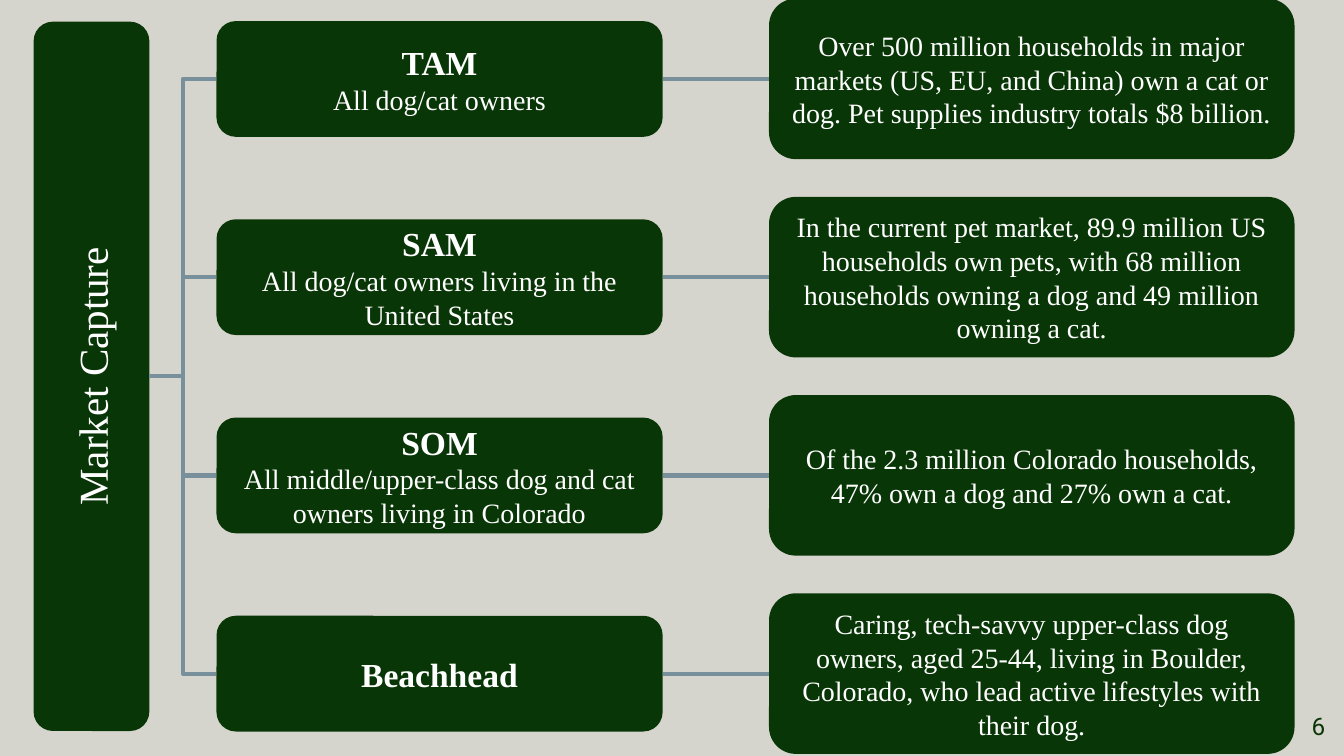
from lxml.etree import SubElement
from pptx import Presentation
from pptx.dml.color import RGBColor
from pptx.enum.shapes import MSO_CONNECTOR as Connector, MSO_SHAPE as Shape
from pptx.enum.text import MSO_ANCHOR as Anchor, PP_ALIGN as Align
from pptx.oxml.ns import qn
from pptx.util import Pt

ROOT = "Market Capture"
PAGE_NUMBER = "6"
# tier name, who it covers, market detail
TIERS = [
    ("TAM", "All dog/cat owners",
     "Over 500 million households in major markets (US, EU, and China) own a "
     "cat or dog. Pet supplies industry totals $8 billion."),
    ("SAM", "All dog/cat owners living in the United States",
     "In the current pet market, 89.9 million US households own pets, with "
     "68 million households owning a dog and 49 million owning a cat."),
    ("SOM", "All middle/upper-class dog and cat owners living in Colorado",
     "Of the 2.3 million Colorado households, 47% own a dog and 27% own a cat."),
    ("Beachhead", "",
     "Caring, tech-savvy upper-class dog owners, aged 25-44, living in Boulder, "
     "Colorado, who lead active lifestyles with their dog."),
]


class Theme:
    background = RGBColor.from_string("D6D5CD")
    green = RGBColor.from_string("093607")
    white = RGBColor.from_string("FFFFFF")
    line = RGBColor.from_string("78909C")
    font, number_font = "Times New Roman", "Roboto"
    root_size, tier_size, body_size, number_size = 22, 18, 15, 13
    line_width = 2.25
    inset = 7.2


SLIDE_W, SLIDE_H = 720, 405
FIRST_ROW, ROW_PITCH = 42.3, 106.2
ROOT_CENTER_X, ROOT_LENGTH = 49, 380
TIER_X, TIER_W, TIER_H = 116, 239, 62
DETAIL_X, DETAIL_W, DETAIL_H = 412, 281.5, 86
MIDDLE = FIRST_ROW + ROW_PITCH * (len(TIERS) - 1) / 2
ROOT_RIGHT = ROOT_CENTER_X + TIER_H / 2


def write(frame, lines, color, font=Theme.font, align=Align.CENTER):
    """Fill a text frame with one paragraph per (text, size, bold) line."""
    frame.word_wrap = True
    frame.margin_left = frame.margin_right = Pt(Theme.inset)
    frame.margin_top = frame.margin_bottom = Pt(Theme.inset)
    for i, (text, size, bold) in enumerate(lines):
        paragraph = frame.add_paragraph() if i else frame.paragraphs[0]
        paragraph.alignment = align
        run = paragraph.add_run()
        run.text = text
        run.font.name, run.font.size, run.font.bold = font, Pt(size), bold
        run.font.color.rgb = color


def add_box(slide, left, center_y, width, height, lines):
    box = slide.shapes.add_shape(Shape.ROUNDED_RECTANGLE, Pt(left),
                                 Pt(center_y - height / 2), Pt(width), Pt(height))
    box.shadow.inherit = False
    box.fill.solid()
    box.fill.fore_color.rgb = Theme.green
    box.line.fill.background()
    box.text_frame.vertical_anchor = Anchor.MIDDLE
    write(box.text_frame, lines, Theme.white)
    return box


def add_link(slide, kind, x1, y1, x2, y2):
    link = slide.shapes.add_connector(kind, Pt(x1), Pt(y1), Pt(x2), Pt(y2))
    link.line.color.rgb = Theme.line
    link.line.width = Pt(Theme.line_width)
    SubElement(link._element.spPr, qn("a:effectLst"))
    return link


def main():
    prs = Presentation()
    prs.slide_width, prs.slide_height = Pt(SLIDE_W), Pt(SLIDE_H)
    slide = prs.slides.add_slide(prs.slide_layouts[6])
    slide.background.fill.solid()
    slide.background.fill.fore_color.rgb = Theme.background

    root = add_box(slide, ROOT_CENTER_X - ROOT_LENGTH / 2, MIDDLE, ROOT_LENGTH,
                   TIER_H, [(ROOT, Theme.root_size, False)])
    root.rotation = 270

    for i, (name, audience, detail) in enumerate(TIERS):
        y = FIRST_ROW + i * ROW_PITCH
        tier_lines = [(name, Theme.tier_size, True)]
        if audience:
            tier_lines.append((audience, Theme.body_size, False))
        tier = add_box(slide, TIER_X, y, TIER_W, TIER_H, tier_lines)
        detail_box = add_box(slide, DETAIL_X, y, DETAIL_W, DETAIL_H,
                             [(detail, Theme.body_size, False)])
        add_link(slide, Connector.ELBOW, ROOT_RIGHT, MIDDLE, TIER_X, y)
        across = add_link(slide, Connector.STRAIGHT, TIER_X + TIER_W, y, DETAIL_X, y)
        across.begin_connect(tier, 3)
        across.end_connect(detail_box, 1)

    number = slide.shapes.add_textbox(Pt(674), Pt(373.7), Pt(43), Pt(31))
    write(number.text_frame, [(PAGE_NUMBER, Theme.number_size, False)],
          Theme.green, Theme.number_font, Align.RIGHT)
    prs.save("out.pptx")


if __name__ == "__main__":
    main()
